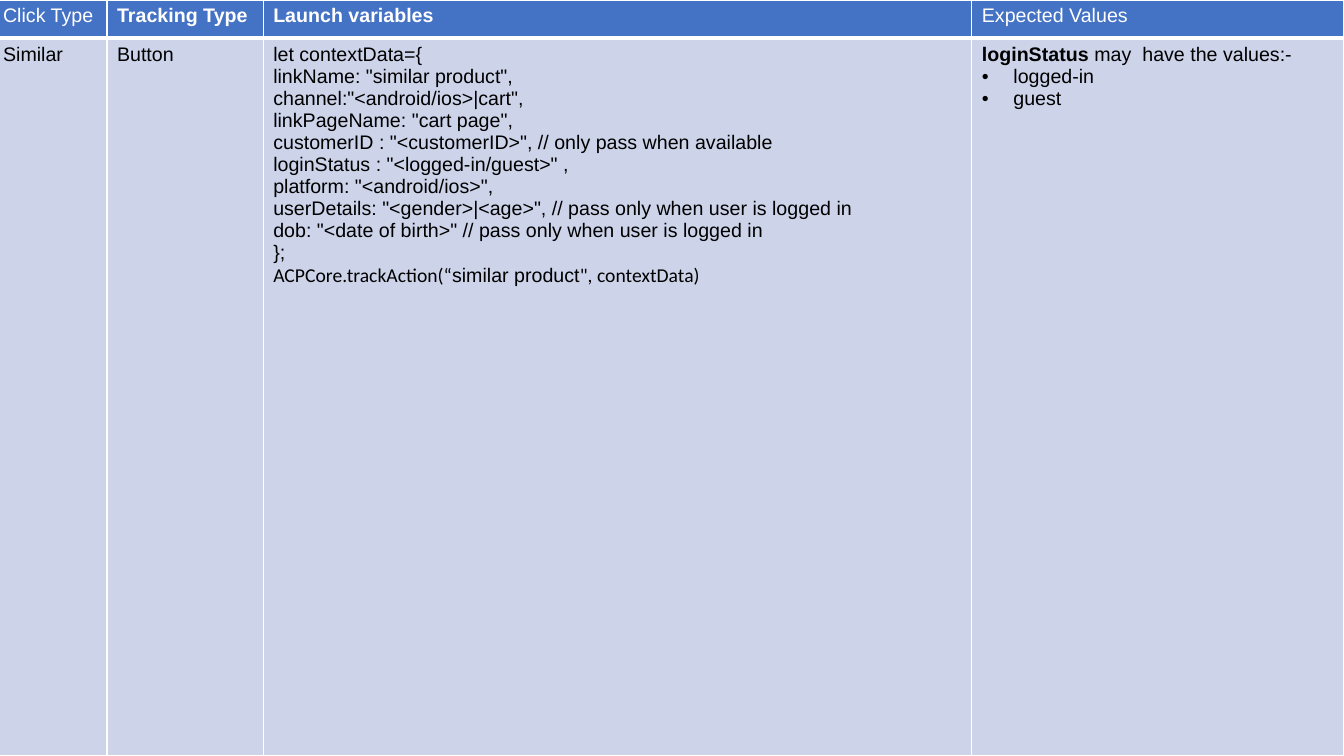
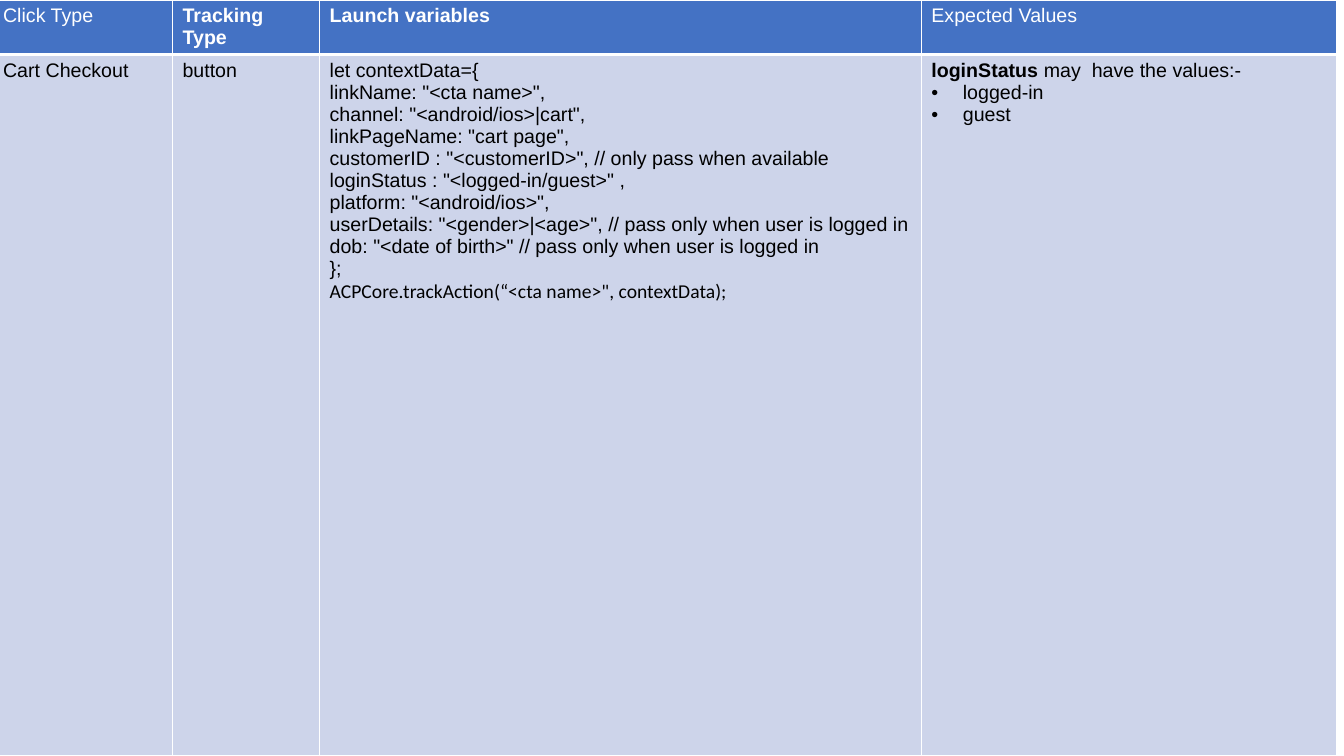
from dataclasses import dataclass

from lxml import etree
from pptx import Presentation
from pptx.dml.color import RGBColor
from pptx.oxml.ns import qn
from pptx.util import Pt


@dataclass(frozen=True)
class Theme:
    header_fill: str = "4472C4"
    body_fill: str = "CDD4EA"
    header_text: str = "FFFFFF"
    body_text: str = "000000"
    border: str = "FFFFFF"
    font: str = "Arial"
    call_font: str = "Calibri"
    text_size: float = 14
    thin_border: float = 1
    thick_border: float = 3
    bullet_indent: float = 22.5


@dataclass(frozen=True)
class TextRun:
    text: str
    bold: bool = False
    font: str = "Arial"


@dataclass(frozen=True)
class Line:
    runs: tuple[TextRun, ...]
    bullet: bool = False


@dataclass(frozen=True)
class TrackingSlide:
    click_type: str
    tracking_type: str
    code: tuple[str, ...]
    track_call: tuple[TextRun, ...]
    column_widths: tuple[float, ...]
    header_height: float


THEME = Theme()
BLANK_LAYOUT = 6
SLIDE_WIDTH, SLIDE_HEIGHT = 960, 540
TABLE_LEFT = -5


def text_line(text: str, bold: bool = False, bullet: bool = False) -> Line:
    return Line((TextRun(text, bold),), bullet)


HEADERS = (
    text_line("Click Type"),
    text_line("Tracking Type", bold=True),
    text_line("Launch variables", bold=True),
    text_line("Expected Values"),
)
SHARED_CODE = (
    'linkPageName: "cart page",',
    'customerID : "<customerID>", // only pass when available',
    'loginStatus : "<logged-in/guest>" ,',
    'platform: "<android/ios>",',
    'userDetails: "<gender>|<age>", // pass only when user is logged in',
    'dob: "<date of birth>" // pass only when user is logged in',
    "};",
)
EXPECTED_VALUES = (
    Line((TextRun("loginStatus ", True), TextRun("may  have the values:-"))),
    text_line("logged-in", bullet=True),
    text_line("guest", bullet=True),
)
TRACKING_SLIDES = (
    TrackingSlide(
        "Similar",
        "Button",
        ('linkName: "similar product",', 'channel:"<android/ios>|cart",'),
        (
            TextRun("ACPCore.trackAction(“", font=THEME.call_font),
            TextRun("similar product"),
            TextRun('", contextData)', font=THEME.call_font),
        ),
        (81.4, 111.6, 506.2, 265.7),
        27.4,
    ),
    TrackingSlide(
        "Cart Checkout",
        "button",
        ('linkName: "<cta name>",', 'channel: "<android/ios>|cart",'),
        (TextRun('ACPCore.trackAction(“<cta name>", contextData);', font=THEME.call_font),),
        (128.2, 105.1, 429.8, 296.6),
        39,
    ),
)


def add_color(parent, color: str) -> None:
    etree.SubElement(parent, qn("a:srgbClr"), val=color)


def add_bullet(paragraph) -> None:
    properties = paragraph._p.get_or_add_pPr()
    indent = Pt(THEME.bullet_indent)
    properties.set("marL", str(indent))
    properties.set("indent", str(-indent))
    add_color(etree.SubElement(properties, qn("a:buClr")), THEME.body_text)
    etree.SubElement(properties, qn("a:buFont"), typeface=THEME.font)
    etree.SubElement(properties, qn("a:buChar"), char="•")


def add_borders(cell, thick_side: str) -> None:
    properties = cell._tc.get_or_add_tcPr()
    for side in ("lnL", "lnR", "lnT", "lnB"):
        width = THEME.thick_border if side == thick_side else THEME.thin_border
        border = etree.SubElement(properties, qn(f"a:{side}"), w=str(Pt(width)))
        add_color(etree.SubElement(border, qn("a:solidFill")), THEME.border)


def fill_cell(cell, lines: tuple[Line, ...], is_header: bool) -> None:
    add_borders(cell, "lnB" if is_header else "lnT")
    cell.fill.solid()
    fill_color = THEME.header_fill if is_header else THEME.body_fill
    cell.fill.fore_color.rgb = RGBColor.from_string(fill_color)
    text_color = THEME.header_text if is_header else THEME.body_text
    for index, line in enumerate(lines):
        text_frame = cell.text_frame
        paragraph = text_frame.add_paragraph() if index else text_frame.paragraphs[0]
        if line.bullet:
            add_bullet(paragraph)
        for text_run in line.runs:
            run = paragraph.add_run()
            run.text = text_run.text
            run.font.color.rgb = RGBColor.from_string(text_color)
            font_format = {
                "name": text_run.font,
                "size": Pt(THEME.text_size),
                "bold": text_run.bold,
            }
            for attribute, value in font_format.items():
                setattr(run.font, attribute, value)


def add_tracking_slide(presentation, content: TrackingSlide) -> None:
    slide = presentation.slides.add_slide(presentation.slide_layouts[BLANK_LAYOUT])
    code = ("let contextData={", *content.code, *SHARED_CODE)
    body = (
        (text_line(content.click_type),),
        (text_line(content.tracking_type),),
        (*map(text_line, code), Line(content.track_call)),
        EXPECTED_VALUES,
    )
    table = slide.shapes.add_table(
        2, len(HEADERS), Pt(TABLE_LEFT), Pt(0),
        Pt(sum(content.column_widths)), Pt(SLIDE_HEIGHT),
    ).table
    table.rows[0].height = Pt(content.header_height)
    table.rows[1].height = Pt(SLIDE_HEIGHT - content.header_height)
    for index, width in enumerate(content.column_widths):
        table.columns[index].width = Pt(width)
        fill_cell(table.cell(0, index), (HEADERS[index],), is_header=True)
        fill_cell(table.cell(1, index), body[index], is_header=False)


def main() -> None:
    presentation = Presentation()
    presentation.slide_width = Pt(SLIDE_WIDTH)
    presentation.slide_height = Pt(SLIDE_HEIGHT)
    for content in TRACKING_SLIDES:
        add_tracking_slide(presentation, content)
    presentation.save("out.pptx")


if __name__ == "__main__":
    main()
